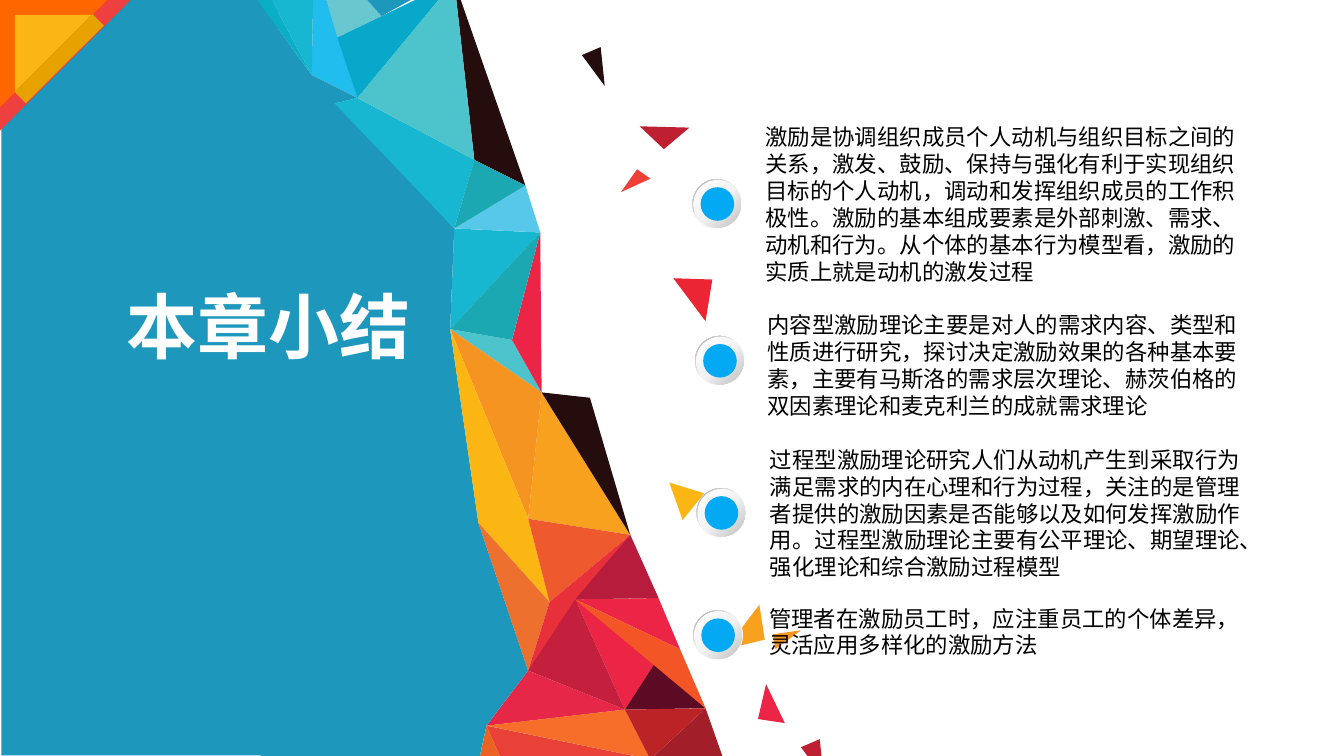
import copy
from typing import NamedTuple

import pptx
import pptx.dml.color
import pptx.enum.shapes
import pptx.enum.text
import pptx.util

Pt = pptx.util.Pt
Kind = pptx.enum.shapes.MSO_SHAPE
Fit = pptx.enum.text.MSO_AUTO_SIZE

STEP = 0.72  # points per grid unit: the slide is 1000 units wide

INK = {
    "white": "FFFFFF", "black": "000000", "sea": "1D97BC", "cyan": "17B7D1",
    "teal": "1BA8B2", "mint": "4DC4CC", "mist": "69C7CF", "sky": "57C8EA",
    "azure": "21BDEE", "wave": "08A8CA", "deep": "0AAEC5", "dot": "03A9F3",
    "night": "260D0D", "plum": "5D0B24", "rose": "EC2546", "pink": "E72748",
    "ruby": "C41F3D", "wine": "B71C3C", "blood": "A21F29", "brick": "BC2326",
    "cherry": "BE1F31", "red": "E73039", "poppy": "EB2534", "coral": "E94138",
    "salmon": "EE4037", "trim": "EE403F", "flame": "F45526", "rust": "EB6323",
    "clay": "EE592E", "copper": "ED702E", "peach": "F66E29", "orange": "FF6600",
    "amber": "F59421", "honey": "F8A11E", "gold": "FBB614", "mustard": "E7A200",
    "pale": "F2F2F2", "grey": "A6A6A6", "silver": "BFBFBF",
}


class Shard(NamedTuple):
    ink: str
    nodes: str  # one letter for each corner, found in NODES


class Chip(NamedTuple):
    ink: str
    dots: list[tuple[int, int]]


class Piece(NamedTuple):
    kind: int
    left: float
    top: float
    width: float
    height: float
    ink: str
    turn: float = 0


class Note(NamedTuple):
    left: float
    top: float
    width: float
    height: float
    font: str
    text: str


class Knob(NamedTuple):
    left: float
    top: float


# Corners shared by the facets of the cliff, in grid units:
# capitals for the cool upper half, small letters for the warm lower half.
NODES = {
    "A": (338, -14), "B": (353, 119), "C": (391, 138), "D": (338, 170),
    "E": (402, 173), "F": (335, 245), "G": (381, 253), "H": (403, 292),
    "I": (266, 73), "K": (232, 56), "L": (249, 77), "M": (251, 28),
    "N": (266, -8), "O": (284, 12), "P": (313, -4), "Q": (242, -3),
    "R": (233, -3), "S": (202, 0), "T": (190, -2),
    "a": (409, 448), "b": (469, 398), "c": (439, 296), "d": (428, 446),
    "e": (490, 445), "f": (506, 483), "g": (525, 527), "h": (465, 528),
    "i": (487, 494), "j": (484, 565), "k": (372, 563), "l": (538, 564),
    "u": (356, 389), "v": (393, 499), "w": (362, 540), "x": (357, 563),
    "y": (194, 565), "z": (393, 386),
}

SHARDS = [Shard(*pair.split(":")) for pair in (
    "rose:dhi plum:hgi night:ACB blood:glj rose:dfe coral:wkj pink:vwh "
    "mint:FGH cyan:DEF sky:DCE rust:wxk azure:RQIK sea:TKDFuvwxy deep:TSK "
    "cyan:SRK sea:KIL cyan:IBDL teal:BCD mist:QNOM wave:MIA rose:EGH "
    "mint:ABI teal:EGF amber:FHz gold:Fuaz honey:Hzb night:Hcb clay:zab "
    "copper:uav red:abv wine:deb ruby:dhv flame:dgf peach:whj brick:hgj "
    "sea:NOP"
).split()]

SLIVER = [(447, 35), (433, 41), (450, 64)]
CHIPS = [
    Chip("salmon", [(474, 126), (462, 143), (484, 133)]),
    Chip("poppy", [(501, 207), (530, 208), (525, 239)]),
    Chip("cherry", [(476, 94), (513, 95), (494, 111)]),
    Chip("gold", [(498, 359), (524, 367), (508, 387)]),
    Chip("honey", [(565, 450), (540, 483), (569, 476)]),
    Chip("rose", [(570, 509), (564, 535), (584, 538)]),
    Chip("amber", [(575, 472), (596, 469), (577, 483)]),
    Chip("night", SLIVER),
    Chip("cherry", [(x + 163, y + 515) for x, y in SLIVER]),
]

PANEL = Piece(Kind.RECTANGLE, 0.7, -0.7, 148.3, 405.4, "sea")
CORNER = [
    Piece(Kind.RIGHT_TRIANGLE, inset, inset, size, size, ink, 90)
    for inset, size, ink in ((0, 70, "trim"), (0, 57.5, "orange"), (8, 41, "gold"))
] + [Piece(Kind.RECTANGLE, 27.4, 2, 8.6, 59, "mustard", 45)]

NOTES = [
    Note(403, 62.6, 278, 94.4, "Arial",
         "激励是协调组织成员个人动机与组织目标之间的关系，激发、鼓励、保持与强化有利于实现组织目标的个人动机，"
         "调动和发挥组织成员的工作积极性。激励的基本组成要素是外部刺激、需求、动机和行为。"
         "从个体的基本行为模型看，激励的实质上就是动机的激发过程"),
    Note(404, 163.4, 274.4, 65.5, "Calibri",
         "内容型激励理论主要是对人的需求内容、类型和性质进行研究，探讨决定激励效果的各种基本要素，"
         "主要有马斯洛的需求层次理论、赫茨伯格的双因素理论和麦克利兰的成就需求理论"),
    Note(405.4, 235.4, 269.3, 80, "Calibri",
         "过程型激励理论研究人们从动机产生到采取行为满足需求的内在心理和行为过程，"
         "关注的是管理者提供的激励因素是否能够以及如何发挥激励作用。"
         "过程型激励理论主要有公平理论、期望理论、强化理论和综合激励过程模型"),
    Note(405, 320.4, 265.7, 36, "Calibri",
         "管理者在激励员工时，应注重员工的个体差异，灵活应用多样化的激励方法"),
]

KNOBS = [Knob(371, 96), Knob(372.4, 180), Knob(373.2, 261.5), Knob(371.4, 327)]


def tint(ink: str) -> pptx.dml.color.RGBColor:
    return pptx.dml.color.RGBColor.from_string(INK[ink])


def paint(shape, ink: str) -> None:
    shape.shadow.inherit = False
    shape.line.fill.background()
    shape.fill.solid()
    shape.fill.fore_color.rgb = tint(ink)


def shade(shape, middle: float, end: str, angle: float) -> None:
    """Fill from white over pale to the end ink; angle runs counter-clockwise."""
    shape.fill.gradient()
    shape.fill.gradient_angle = angle
    bands = shape.element.spPr.find(".//" + pptx.oxml.ns.qn("a:gsLst"))
    bands.append(copy.deepcopy(bands[-1]))
    stops = ((0, "white"), (middle, "pale"), (1, end))
    for band, (place, ink) in zip(shape.fill.gradient_stops, stops):
        band.position = place
        band.color.rgb = tint(ink)


def draw_chip(shapes, chip: Chip) -> None:
    first, *rest = chip.dots
    pen = shapes.build_freeform(*first, scale=Pt(STEP))
    pen.add_line_segments(rest, close=True)
    paint(pen.convert_to_shape(), chip.ink)


def draw_piece(shapes, piece: Piece):
    shape = shapes.add_shape(piece.kind, Pt(piece.left), Pt(piece.top),
                             Pt(piece.width), Pt(piece.height))
    shape.rotation = piece.turn
    paint(shape, piece.ink)
    return shape


def draw_knob(shapes, knob: Knob) -> None:
    group = shapes.add_group_shape().shapes

    def disc(kind: int, inset: float, size: float, ink: str):
        return draw_piece(group, Piece(kind, knob.left + inset, knob.top + inset,
                                       size, size, ink))

    ring = disc(Kind.DONUT, 0, 26.6, "pale")
    ring.adjustments[0] = 0.05
    shade(ring, 0.55, "grey", 135)
    shade(disc(Kind.OVAL, 0.6, 25.4, "pale"), 0.51, "silver", 315)
    disc(Kind.OVAL, 4.3, 18, "dot")


def style(line, font: str, size: float, ink: str) -> None:
    line.font.name = font
    line.font.size = Pt(size)
    line.font.color.rgb = tint(ink)


def draw_note(shapes, note: Note) -> None:
    box = shapes.add_textbox(Pt(note.left), Pt(note.top), Pt(note.width), Pt(note.height))
    frame = box.text_frame
    frame.word_wrap = True
    frame.auto_size = Fit.SHAPE_TO_FIT_TEXT
    frame.text = note.text
    style(frame.paragraphs[0], note.font, 12, "black")


def set_title(shapes, text: str) -> None:
    """Fill the title placeholder and bring it in front of the panel."""
    title = shapes.title
    title.left, title.top, title.width, title.height = map(Pt, (59.8, 147.6, 167.8, 53.3))
    frame = title.text_frame
    frame.text = text
    frame.word_wrap = False
    frame.auto_size = Fit.SHAPE_TO_FIT_TEXT
    frame.vertical_anchor = pptx.enum.text.MSO_ANCHOR.TOP
    line = frame.paragraphs[0]
    line.alignment = pptx.enum.text.PP_ALIGN.CENTER
    style(line, "Arial", 38, "white")
    line.font.bold = True
    shapes.element.append(title.element)


def main() -> None:
    deck = pptx.Presentation()
    deck.slide_width, deck.slide_height = Pt(720), Pt(405)
    shapes = deck.slides.add_slide(deck.slide_layouts[5]).shapes
    draw_piece(shapes, PANEL)
    for shard in SHARDS:
        draw_chip(shapes, Chip(shard.ink, [NODES[key] for key in shard.nodes]))
    for chip in CHIPS:
        draw_chip(shapes, chip)
    for piece in CORNER:
        draw_piece(shapes, piece)
    for note in NOTES:
        draw_note(shapes, note)
    for knob in KNOBS:
        draw_knob(shapes, knob)
    set_title(shapes, "本章小结")
    deck.save("out.pptx")


if __name__ == "__main__":
    main()
